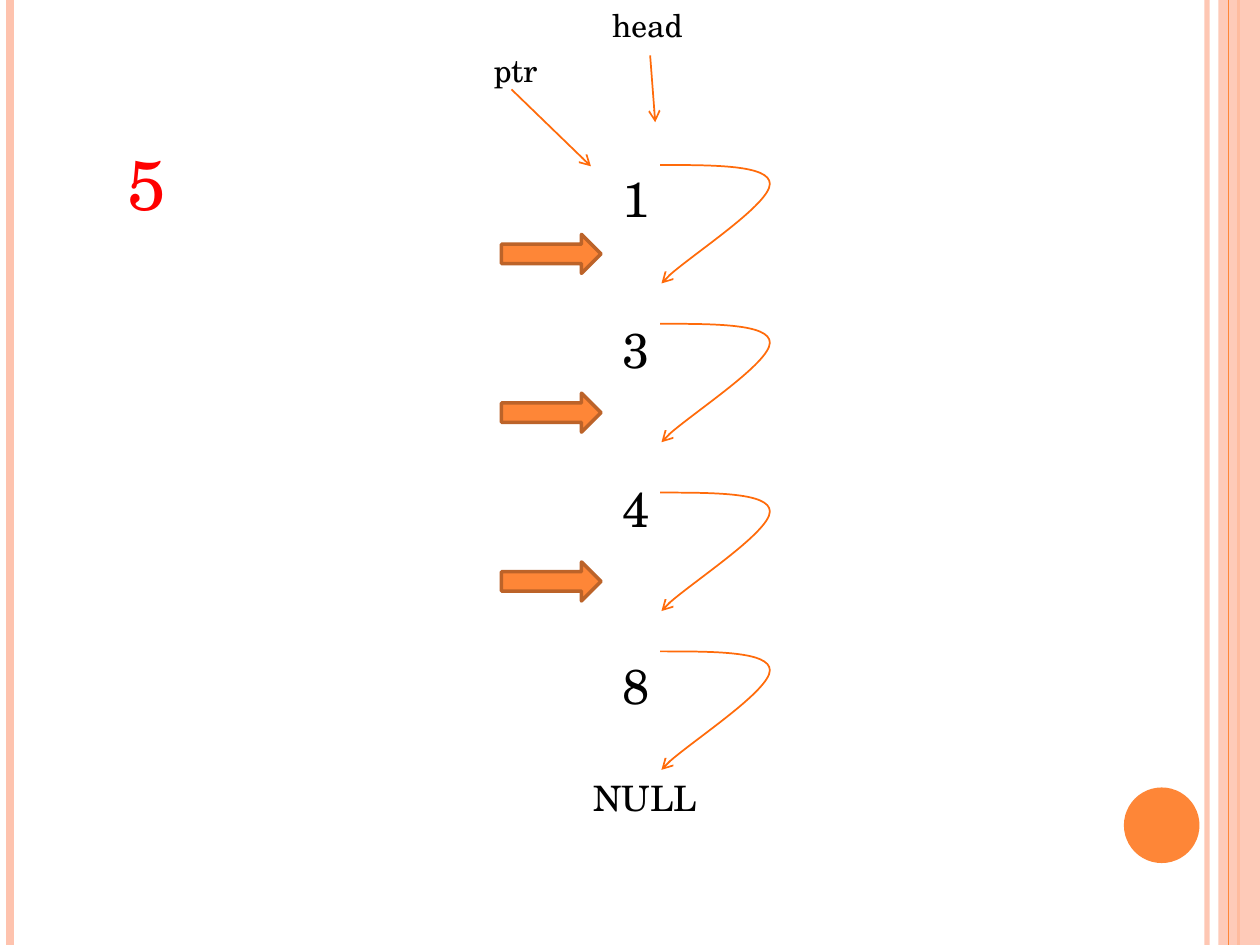
from dataclasses import dataclass

from lxml.etree import SubElement
from pptx import Presentation
from pptx.dml.color import RGBColor
from pptx.enum.shapes import MSO_CONNECTOR as CONN, MSO_SHAPE as SHAPE
from pptx.oxml.ns import qn
from pptx.util import Emu, Pt

PX = 9144  # EMU per px, 100 px to the inch


@dataclass(frozen=True)
class Theme:
    font: str = "TeX Gyre Schola"
    text: str = "000000"
    key: str = "FF0000"
    peach: str = "FEC3AE"
    orange: str = "FE8637"
    pointer: str = "FF6B0A"
    edge: str = "BC6329"
    label_pt: int = 18
    null_pt: int = 20
    node_pt: int = 28
    key_pt: int = 40


@dataclass(frozen=True)
class Label:
    text: str
    x: int
    y: int
    w: int
    h: int
    size: int
    color: str = Theme.text
    wrap: bool = True


@dataclass(frozen=True)
class Rule:
    x: int
    color: str
    width: float
    alpha: int = 100


@dataclass(frozen=True)
class Node:
    value: str
    y: int
    link_y: int


T = Theme()
W, H = 1000, 750
NODE_X, LINK_X, STEP_X = 484, 524, 398
STEP_DROP = 55  # from the top of a link to its block arrow

LEFT_RULES = [
    Rule(958, T.peach, 3, 93),
    Rule(8, T.peach, 4.5),
    Rule(983, T.orange, 1.5),
]
BAND_RULE = Rule(975, T.orange, 0.75)
NODES = [
    Node("1", 129, 131),
    Node("3", 249, 257),
    Node("4", 375, 391),
    Node("8", 515, 517),
]
LABELS = [
    Label("head", 476, 0, 78, 40, T.label_pt),
    Label("ptr", 382, 36, 56, 40, T.label_pt, wrap=False),
    Label("NULL", 461, 611, 133, 44, T.null_pt),
    Label("5", 91, 107, 51, 77, T.key_pt, T.key, wrap=False),
]
POINTERS = [(516, 44, 520, 97), (406, 71, 469, 132)]
# Two Bezier segments, relative to the start of a link
LINK_CURVE = [(43, 0), (87, 0), (87, 15), (87, 31), (9, 82), (1, 94)]


def px(*values: int) -> list[Emu]:
    return [Emu(v * PX) for v in values]


def set_alpha(element, percent: int) -> None:
    """Make the first solid colour inside the element translucent."""
    if percent < 100:
        color = next(element.iter(qn("a:srgbClr")))
        SubElement(color, qn("a:alpha"), val=str(percent * 1000))


def set_line(shape, color: str, width: float, arrow: bool = False) -> None:
    shape.line.color.rgb = RGBColor.from_string(color)
    shape.line.width = Pt(width)
    if arrow:
        ln = shape.element.spPr.find(qn("a:ln"))
        SubElement(ln, qn("a:tailEnd"), type="arrow")


def add_line(s, x1: int, y1: int, x2: int, y2: int, color: str, width: float,
             alpha: int = 100, arrow: bool = False) -> None:
    line = s.shapes.add_connector(CONN.STRAIGHT, *px(x1, y1, x2, y2))
    set_line(line, color, width, arrow)
    set_alpha(line.element.spPr, alpha)
    SubElement(line.element.spPr, qn("a:effectLst"))


def add_rule(s, rule: Rule) -> None:
    add_line(s, rule.x, 0, rule.x, H, rule.color, rule.width, rule.alpha)


def add_solid(s, kind: SHAPE, x: int, y: int, w: int, h: int, color: str,
              alpha: int = 100, edge: str = "") -> None:
    sp = s.shapes.add_shape(kind, *px(x, y, w, h))
    sp.shadow.inherit = False
    sp.fill.solid()
    sp.fill.fore_color.rgb = RGBColor.from_string(color)
    set_alpha(sp.element.spPr, alpha)
    if edge:
        set_line(sp, edge, 2)
    else:
        sp.line.fill.background()


def add_label(s, label: Label) -> None:
    tf = s.shapes.add_textbox(*px(label.x, label.y, label.w, label.h)).text_frame
    tf.word_wrap = label.wrap
    p = tf.paragraphs[0]
    p.text = label.text
    p.font.name = T.font
    p.font.size = Pt(label.size)
    p.font.color.rgb = RGBColor.from_string(label.color)


def add_link(s, x: int, y: int) -> None:
    """Draw the curved arrow that leads from one node to the next."""
    fb = s.shapes.build_freeform(x, y, scale=PX)
    fb.add_line_segments([(x + dx, y + dy) for dx, dy in LINK_CURVE], close=False)
    sp = fb.convert_to_shape()
    sp.shadow.inherit = False
    sp.fill.background()
    set_line(sp, T.pointer, 1, arrow=True)

    path = next(sp.element.iter(qn("a:path")))
    segments = path.findall(qn("a:lnTo"))
    for i in range(0, len(segments), 3):
        curve = SubElement(path, qn("a:cubicBezTo"))
        for segment in segments[i:i + 3]:
            curve.append(segment[0])
            path.remove(segment)


def add_frame(s) -> None:
    """Draw the coloured edges of the slide and its corner disc."""
    for rule in LEFT_RULES:
        add_rule(s, rule)
    add_solid(s, SHAPE.RECTANGLE, 967, 0, 33, H, T.peach, alpha=87)
    add_rule(s, BAND_RULE)
    add_solid(s, SHAPE.OVAL, 892, 625, 60, 60, T.orange)


def main() -> None:
    prs = Presentation()
    prs.slide_width, prs.slide_height = px(W, H)
    s = prs.slides.add_slide(prs.slide_layouts[6])

    add_frame(s)
    for label in LABELS:
        add_label(s, label)
    for ends in POINTERS:
        add_line(s, *ends, T.pointer, 1, arrow=True)
    for node in NODES:
        add_label(s, Label(node.value, NODE_X, node.y, 30, 57, T.node_pt))
        add_link(s, LINK_X, node.link_y)
    for node in NODES[:-1]:
        add_solid(s, SHAPE.RIGHT_ARROW, STEP_X, node.link_y + STEP_DROP, 79, 31,
                  T.orange, edge=T.edge)

    prs.save("out.pptx")


if __name__ == "__main__":
    main()
